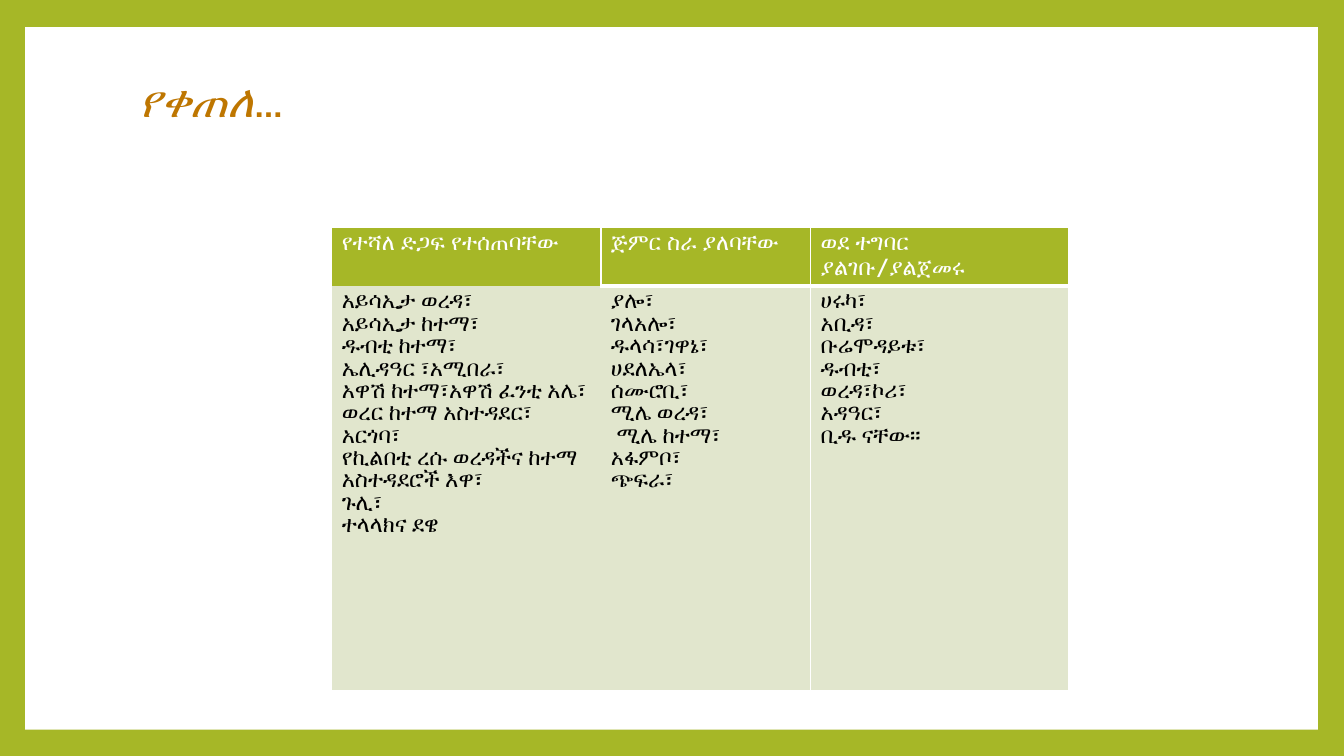
from dataclasses import dataclass

from lxml import etree
from pptx import Presentation
from pptx.dml import color
from pptx.enum import shapes, text
from pptx.oxml import ns
from pptx.util import Inches, Pt


@dataclass(frozen=True)
class Theme:
    green: str = "A6B727"
    pale: str = "E1E6CD"
    white: str = "FFFFFF"
    black: str = "000000"
    orange: str = "BE7600"
    title_size: int = 32
    table_size: int = 16
    body_font: str = "Calibri"
    head_font: str = "DejaVu Sans Mono"


class PageBuilder:
    def __init__(self, page, theme):
        self.page = page
        self.theme = theme

    def paint(self, fill, shade):
        fill.solid()
        fill.fore_color.rgb = color.RGBColor.from_string(shade)

    def background(self, shade):
        self.paint(self.page.background.fill, shade)

    def panel(self, area, shade):
        panel = self.page.shapes.add_shape(
            shapes.MSO_SHAPE.RECTANGLE, *map(Inches, area))
        panel.shadow.inherit = False
        panel.line.fill.background()
        self.paint(panel.fill, shade)

    def span(self, para, words, size, shade, **formats):
        span = para.add_run()
        span.text = words
        span.font.size = Pt(size)
        span.font.color.rgb = color.RGBColor.from_string(shade)
        for name, value in formats.items():
            setattr(span.font, name, value)

    def title(self, area, pieces):
        frame = self.page.shapes.add_textbox(*map(Inches, area)).text_frame
        frame.word_wrap = True
        frame.vertical_anchor = text.MSO_ANCHOR.MIDDLE
        para = frame.paragraphs[0]
        para.line_spacing = 0.9
        for words, strong in pieces:
            self.span(para, words, self.theme.title_size, self.theme.orange,
                      name=self.theme.body_font, bold=strong, italic=strong)

    def borders(self, cell, widths):
        properties = cell._tc.get_or_add_tcPr()
        for position, side in enumerate("LRTB"):
            line = etree.Element(ns.qn(f"a:ln{side}"))
            if side in widths:
                line.set("w", str(Pt(widths[side])))
                fill = etree.SubElement(line, ns.qn("a:solidFill"))
                etree.SubElement(fill, ns.qn("a:srgbClr"), val=self.theme.white)
            else:
                line.set("w", "0")
                etree.SubElement(line, ns.qn("a:noFill"))
            properties.insert(position, line)

    def cell(self, cell, lines, fill, widths, shade, **formats):
        self.paint(cell.fill, fill)
        self.borders(cell, widths)
        for index, words in enumerate(lines):
            frame = cell.text_frame
            para = frame.add_paragraph() if index else frame.paragraphs[0]
            self.span(para, words, self.theme.table_size, shade, **formats)

    def table(self, area, widths, heights, columns):
        theme = self.theme
        table = self.page.shapes.add_table(
            len(heights), len(widths), *map(Inches, area)).table
        table.first_row = table.horz_banding = False
        for row, height in zip(table.rows, heights):
            row.height = Inches(height)
        for index, (heading, lines, head_lines, body_lines) in enumerate(columns):
            table.columns[index].width = Inches(widths[index])
            self.cell(table.cell(0, index), [heading], theme.green, head_lines,
                      theme.white, name=theme.head_font, bold=True)
            self.cell(table.cell(1, index), lines, theme.pale, body_lines,
                      theme.black, name=theme.body_font, bold=False)


SUPPORTED = ["አይሳኢታ ወረዳ፣", "አይሳኢታ ከተማ፣", "ዱብቲ ከተማ፣", "ኤሊዳዓር ፣አሚበራ፣",
             "አዋሽ ከተማ፣አዋሽ ፈንቲ አሌ፣", "ወረር ከተማ አስተዳደር፣", "አርጎባ፣",
             "የኪልበቲ ረሱ ወረዳችና ከተማ አስተዳደሮች እዋ፣", "ጉሊ፣", "ተላላክና ደዌ"]
STARTED = ["ያሎ፣", "ገላአሎ፣", "ዱላሳ፣ገዋኔ፣", "ሀደለኤላ፣", "ሰሙሮቢ፣", "ሚሌ ወረዳ፣",
           " ሚሌ ከተማ፣", "አፋምቦ፣", "ጭፍራ፣"]
WAITING = ["ሀሩካ፣", "አቢዳ፣", "ቡሬሞዳይቱ፣", "ዱብቲ፣", "ወረዳ፣ኮሪ፣", "አዳዓር፣", "ቢዱ ናቸው፡፡"]
HEAD_LINES = {"L": 1, "R": 1, "T": 1, "B": 3}
COLUMNS = [
    ("የተሻለ ድጋፍ የተሰጠባቸው", SUPPORTED, {"L": 1, "R": 1, "T": 1}, {}),
    ("ጅምር ስራ ያለባቸው", STARTED, HEAD_LINES, {"R": 1, "T": 3, "B": 1}),
    ("ወደ ተግባር ያልገቡ/ያልጀመሩ", WAITING, HEAD_LINES,
     {"L": 1, "R": 1, "T": 3, "B": 1}),
]


def main():
    deck = Presentation()
    deck.slide_width, deck.slide_height = Inches(13.33), Inches(7.5)
    theme = Theme()
    builder = PageBuilder(deck.slides.add_slide(deck.slide_layouts[6]), theme)
    builder.background(theme.green)
    builder.panel((0.25, 0.27, 12.82, 6.97), theme.white)
    builder.table((3.29, 2.26, 7.31, 4.4), (2.67, 2.08, 2.56), (0.39, 4.01), COLUMNS)
    builder.title((1.27, 0.66, 10.8, 0.72), [("የቀጠለ", True), ("…", False)])
    deck.save("out.pptx")


if __name__ == "__main__":
    main()
